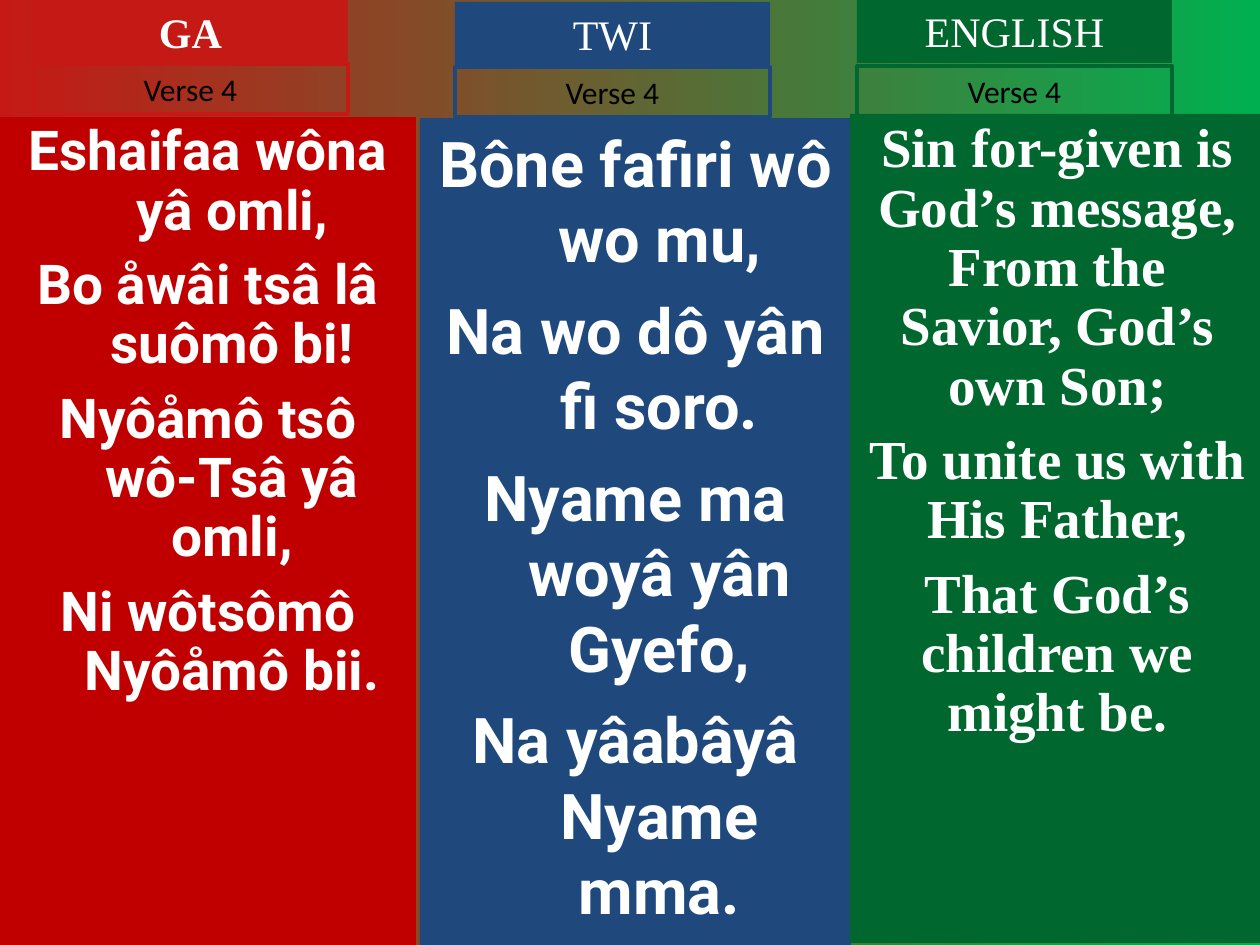
"""Build a hymn slide that sets verse 4 side by side in Ga, Twi and English."""
from dataclasses import dataclass

from pptx import Presentation
from pptx.dml.color import RGBColor
from pptx.enum.shapes import MSO_SHAPE
from pptx.enum.text import MSO_ANCHOR, MSO_AUTO_SIZE, PP_ALIGN
from pptx.util import Emu, Pt

HUES = {
    "red": "C51915", "crimson": "C00000", "blue": "1F497D", "green": "00682F",
    "lime": "00B050", "white": "FFFFFF", "black": "000000",
}
SERIF = "Times New Roman"


@dataclass
class Type:
    face: str
    size: float
    bold: bool = False
    hue: str = "white"
    lead: float = 1.0
    gap: float = 0
    hang: int = 0


@dataclass
class Box:
    left: int
    top: int
    wide: int
    high: int


@dataclass
class Tongue:
    name: str
    hue: str
    back: str
    head: Box
    label: Box
    panel: Box
    bold: bool
    type: Type
    lines: list[str]


TONGUES = [
    Tongue("GA", "red", "crimson", Box(33, 0, 315, 64), Box(33, 64, 315, 50),
           Box(0, 117, 416, 828), True, Type("Roboto", 31.4, True, lead=0.9, gap=8.5, hang=48),
           ["Eshaifaa wôna yâ omli,", "Bo åwâi tsâ lâ suômô bi!",
            "Nyôåmô tsô wô-Tsâ yâ omli,", "Ni wôtsômô Nyôåmô bii."]),
    Tongue("TWI", "blue", "blue", Box(455, 2, 315, 64), Box(455, 67, 315, 50),
           Box(420, 118, 431, 827), False, Type("Roboto", 36, True, gap=9, hang=48),
           ["Bône fafiri wô wo mu,", "Na wo dô yân fi soro.",
            "Nyame ma woyâ yân Gyefo,", "Na yâabâyâ Nyame mma."]),
    Tongue("ENGLISH", "green", "green", Box(857, -1, 315, 64), Box(857, 66, 315, 50),
           Box(850, 114, 415, 829), False, Type(SERIF, 31.4, True, lead=0.9, gap=8.5),
           ["Sin for-given is God’s message, From the Savior, God’s own Son;",
            "To unite us with His Father,", "That God’s children we might be."]),
]


def px(count: int) -> Emu:
    return Emu(round(count * 914400 / 126))


def tint(name: str) -> RGBColor:
    return RGBColor.from_string(HUES[name])


def draw(slide, box: Box, lines: list[str], type: Type,
         fill: str | None = None, edge: str | None = None, grow: bool = True) -> None:
    shape = slide.shapes.add_shape(
        MSO_SHAPE.RECTANGLE, px(box.left), px(box.top), px(box.wide), px(box.high))
    shape.shadow.inherit = False
    if fill:
        shape.fill.solid()
        shape.fill.fore_color.rgb = tint(fill)
    else:
        shape.fill.background()
    if edge:
        shape.line.color.rgb = tint(edge)
        shape.line.width = Pt(2.25)
    else:
        shape.line.fill.background()
    frame = shape.text_frame
    frame.word_wrap = True
    frame.vertical_anchor = MSO_ANCHOR.TOP
    frame.auto_size = MSO_AUTO_SIZE.SHAPE_TO_FIT_TEXT if grow else MSO_AUTO_SIZE.NONE
    for rank, line in enumerate(lines):
        para = frame.add_paragraph() if rank else frame.paragraphs[0]
        para.text = line
        para.alignment = PP_ALIGN.CENTER
        para.line_spacing = type.lead
        para.space_before = Pt(type.gap if rank else 0)
        if type.hang:
            props = para._p.get_or_add_pPr()
            props.set("marL", str(px(type.hang)))
            props.set("indent", str(-px(type.hang)))
        font = para.font
        font.name, font.size, font.bold = type.face, Pt(type.size), type.bold
        font.color.rgb = tint(type.hue)


def main() -> None:
    deck = Presentation()
    deck.slide_width, deck.slide_height = px(1260), px(945)
    slide = deck.slides.add_slide(deck.slide_layouts[6])
    back = slide.background.fill
    back.gradient()
    back.gradient_angle = 0
    for stop, hue in zip(back.gradient_stops, ("red", "lime")):
        stop.color.rgb = tint(hue)
    for tongue in TONGUES:
        draw(slide, tongue.panel, tongue.lines, tongue.type, fill=tongue.back, grow=False)
        draw(slide, tongue.head, [tongue.name], Type(SERIF, 24, tongue.bold), fill=tongue.hue)
        draw(slide, tongue.label, ["Verse 4"], Type("Calibri", 18, hue="black"), edge=tongue.hue)
    deck.save("out.pptx")


if __name__ == "__main__":
    main()
